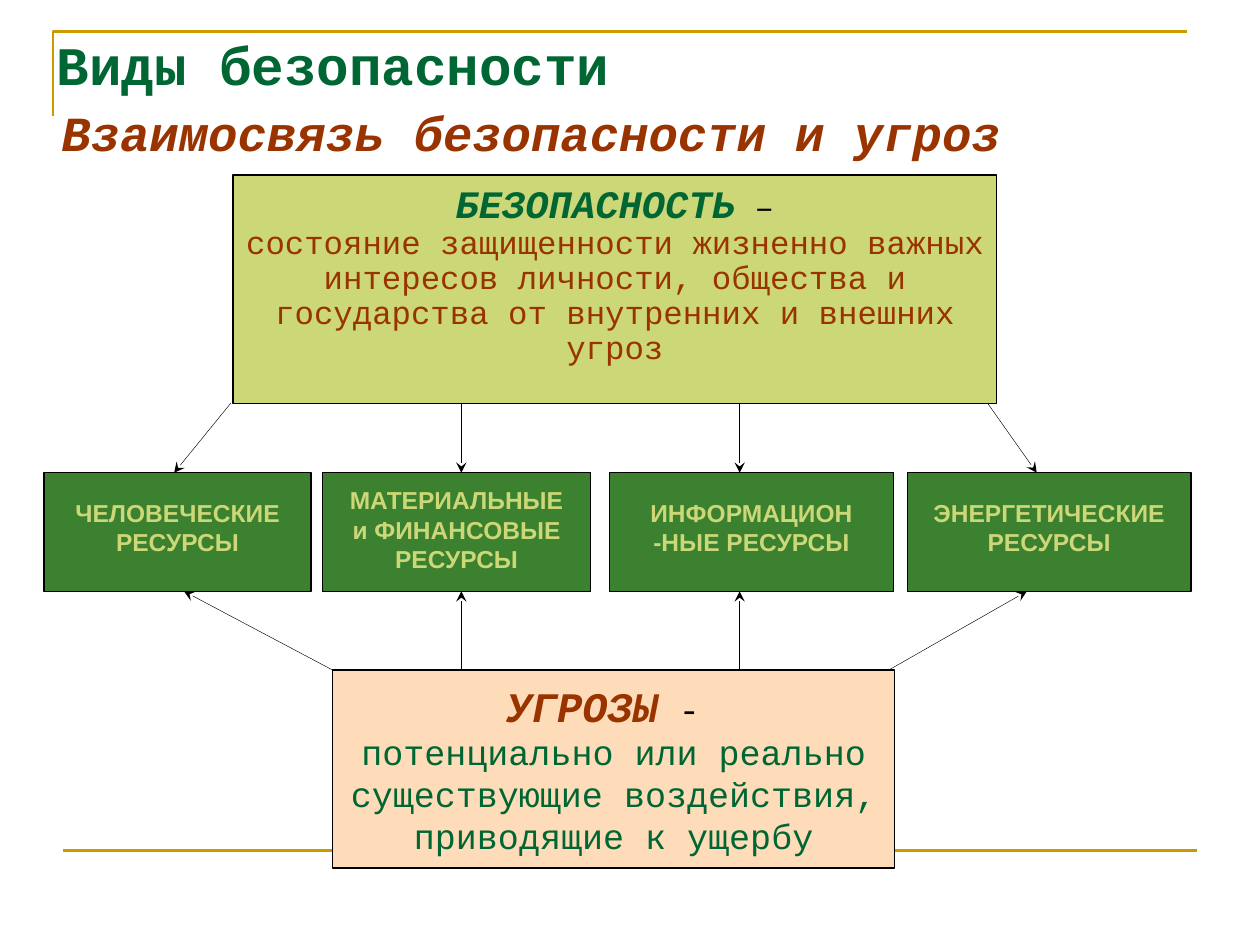
from dataclasses import dataclass

from pptx import Presentation
from pptx.dml.color import RGBColor
from pptx.enum.shapes import MSO_CONNECTOR as Connector, MSO_SHAPE as Shape
from pptx.enum.text import MSO_ANCHOR as Anchor, PP_ALIGN as Align
from pptx.oxml.ns import qn
from pptx.util import Cm, Pt
from lxml.etree import SubElement

COLORS = {
    "gold": "CC9900", "green": "006633", "brown": "993300", "black": "000000",
    "lime": "CCD777", "peach": "FFDCB9", "leaf": "3B812F",
}
MONO, SANS = "Courier New", "Arial"
RESOURCE_TOP, RESOURCE_HEIGHT = 9.53, 2.39
SAFETY_BOTTOM, THREAT_TOP = 8.13, 13.51


@dataclass
class Span:
    text: str
    size: float
    color: str
    font: str = MONO
    bold: bool = False
    italic: bool = False


@dataclass
class Block:
    left: float
    top: float
    width: float
    height: float
    lines: list[list[Span]]
    fill: str = ""
    inset_top: float = 0.13
    spacing: float = 1.0
    before: float = 0
    align: Align = Align.CENTER
    anchor: Anchor = Anchor.TOP


@dataclass
class Resource:
    left: float
    width: float
    lines: list[str]
    inset_top: float
    safety_x: float
    safety_tip: float
    threat_x: float
    threat_tip: float


def color(name: str) -> RGBColor:
    return RGBColor.from_string(COLORS[name])


def set_all(target, values: dict) -> None:
    for name, value in values.items():
        setattr(target, name, value)


def draw_block(page, block: Block) -> None:
    place = [Cm(v) for v in (block.left, block.top, block.width, block.height)]
    if block.fill:
        box = page.shapes.add_shape(Shape.RECTANGLE, *place)
        box.shadow.inherit = False
        box.fill.solid()
        box.fill.fore_color.rgb = color(block.fill)
        box.line.color.rgb = color("black")
        box.line.width = Pt(0.75)
    else:
        box = page.shapes.add_textbox(*place)
    frame = box.text_frame
    set_all(frame, {
        "word_wrap": True, "vertical_anchor": block.anchor,
        "margin_left": Cm(0.25), "margin_right": Cm(0.25),
        "margin_top": Cm(block.inset_top), "margin_bottom": Cm(0.13),
    })
    for index, line in enumerate(block.lines):
        para = frame.add_paragraph() if index else frame.paragraphs[0]
        set_all(para, {"alignment": block.align, "line_spacing": block.spacing,
                       "space_before": Pt(block.before)})
        for span in line:
            run = para.add_run()
            run.text = span.text
            set_all(run.font, {"name": span.font, "size": Pt(span.size),
                               "bold": span.bold, "italic": span.italic})
            run.font.color.rgb = color(span.color)


def draw_line(page, start: tuple[float, float], end: tuple[float, float],
              tint: str, width: float, arrow: bool = False) -> None:
    line = page.shapes.add_connector(
        Connector.STRAIGHT, *(Cm(v) for v in (*start, *end)))
    line.line.color.rgb = color(tint)
    line.line.width = Pt(width)
    if arrow:
        SubElement(line.line._get_or_add_ln(), qn("a:tailEnd"), type="stealth")
    SubElement(line._element.spPr, qn("a:effectLst"))


def draw_corner(page) -> None:
    builder = page.shapes.build_freeform(Cm(1.07), Cm(2.34))
    builder.add_line_segments(
        [(Cm(1.07), Cm(0.64)), (Cm(23.93), Cm(0.64))], close=False)
    corner = builder.convert_to_shape()
    corner.shadow.inherit = False
    corner.fill.background()
    corner.line.color.rgb = color("gold")
    corner.line.width = Pt(1.5)


def draw_resource(page, item: Resource) -> None:
    lines = [[Span(text, 14, "lime", SANS, bold=True)] for text in item.lines]
    draw_block(page, Block(item.left, RESOURCE_TOP, item.width, RESOURCE_HEIGHT,
                           lines, "leaf", item.inset_top))
    draw_line(page, (item.safety_x, SAFETY_BOTTOM),
              (item.safety_tip, RESOURCE_TOP), "black", 0.25, arrow=True)
    draw_line(page, (item.threat_x, THREAT_TOP),
              (item.threat_tip, RESOURCE_TOP + RESOURCE_HEIGHT),
              "black", 0.25, arrow=True)


BLOCKS = [
    Block(0.89, 0, 20.96, 2.08,
          [[Span("Виды безопасности", 31, "green", bold=True)]],
          align=Align.LEFT, anchor=Anchor.BOTTOM),
    Block(0.99, 1.93, 23.7, 2.01,
          [[Span("Взаимосвязь безопасности и угроз", 28, "brown",
                 bold=True, italic=True)]],
          before=7, align=Align.LEFT),
    Block(4.7, 3.53, 15.39, 4.6, [
        [Span("БЕЗОПАСНОСТЬ", 22.2, "green", bold=True, italic=True),
         Span(" –", 18.5, "black")],
        [Span("состояние защищенности жизненно важных интересов личности, "
              "общества и государства от внутренних и внешних угроз",
              18.5, "brown")],
    ], "lime", inset_top=0.2, spacing=0.9),
    Block(6.71, THREAT_TOP, 11.33, 3.99, [
        [Span("УГРОЗЫ", 24, "brown", bold=True, italic=True),
         Span(" - ", 20, "black")],
        [Span("потенциально или реально существующие воздействия, "
              "приводящие к ущербу", 20, "green")],
    ], "peach", inset_top=0.2),
]

RESOURCES = [
    Resource(0.89, 5.38, ["ЧЕЛОВЕЧЕСКИЕ РЕСУРСЫ"], 0.5,
             4.65, 3.51, 6.71, 3.71),
    Resource(6.5, 5.41, ["МАТЕРИАЛЬНЫЕ", "и ФИНАНСОВЫЕ", "РЕСУРСЫ"], 0.25,
             9.3, 9.3, 9.3, 9.3),
    Resource(12.29, 5.72, ["ИНФОРМАЦИОН -НЫЕ РЕСУРСЫ"], 0.5,
             14.91, 14.91, 14.91, 14.91),
    Resource(18.29, 5.72, ["ЭНЕРГЕТИЧЕСКИЕ РЕСУРСЫ"], 0.5,
             19.91, 20.9, 17.91, 20.7),
]


def main() -> None:
    deck = Presentation()
    set_all(deck, {"slide_width": Cm(25.4), "slide_height": Cm(19.05)})
    page = deck.slides.add_slide(deck.slide_layouts[6])
    draw_corner(page)
    draw_line(page, (1.27, 17.15), (24.13, 17.15), "gold", 1.5)
    for block in BLOCKS:
        draw_block(page, block)
    for item in RESOURCES:
        draw_resource(page, item)
    deck.save("out.pptx")


if __name__ == "__main__":
    main()
